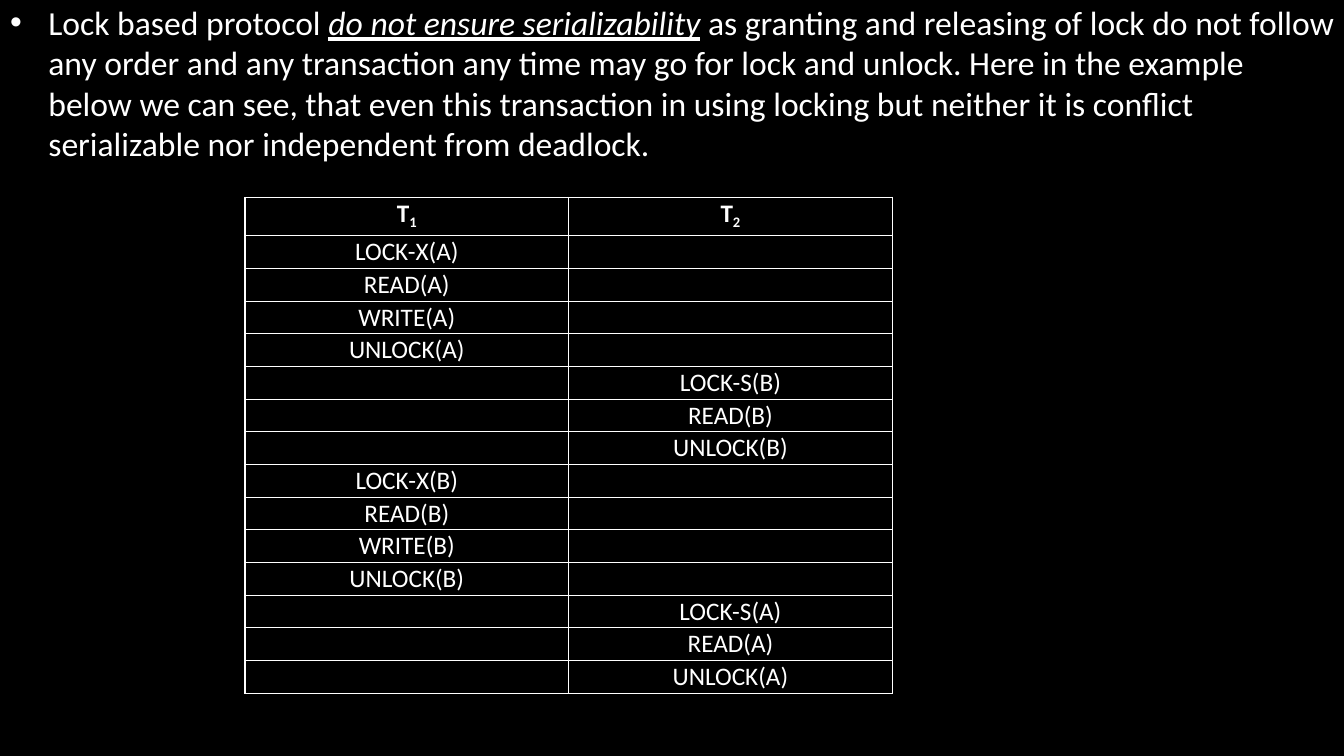
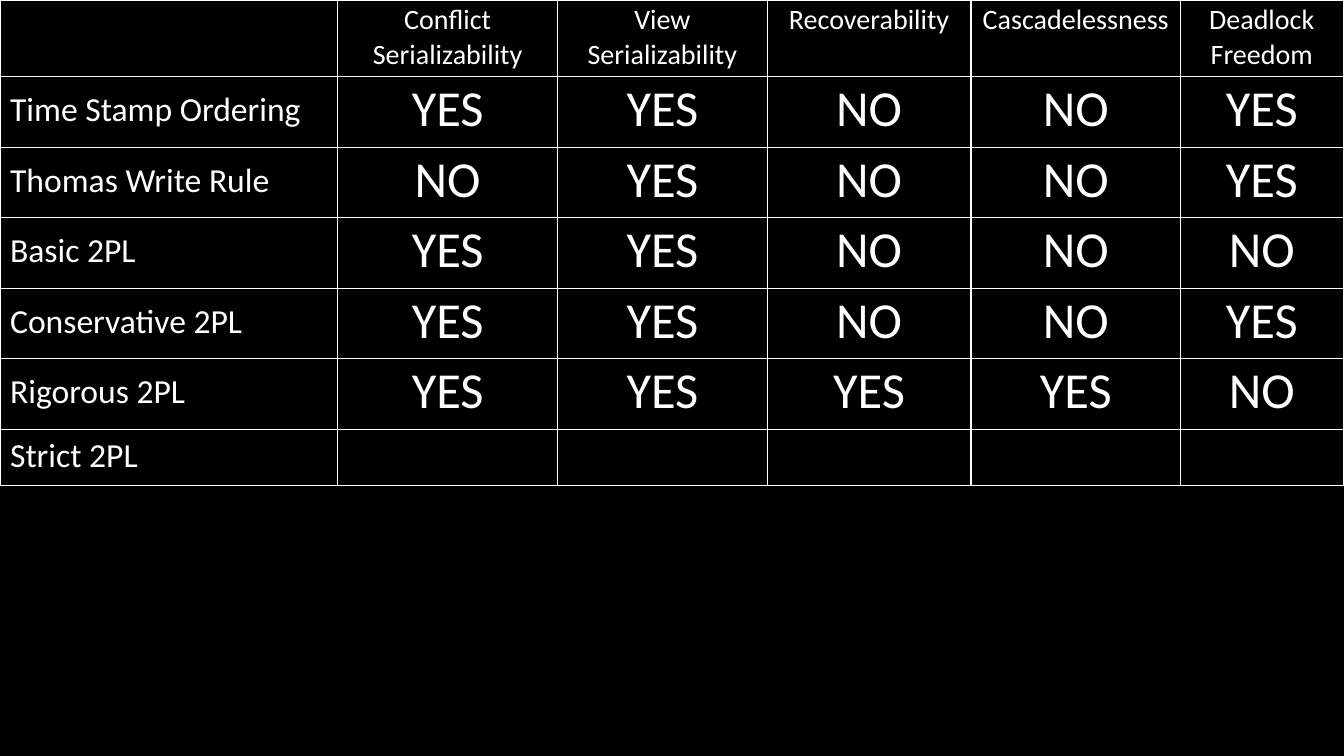
from pptx import Presentation
from pptx import util as u
from pptx.dml.color import RGBColor
from pptx.enum import text
from lxml import etree
from pptx.oxml.ns import qn

COLORS = {"back": "000000", "ink": "FFFFFF"}
FONT = "Calibri"
W, H = 13.33, 7.5

# Content: schedule of two transactions
INTRO = [
    ("Lock based protocol ", False),
    ("do not ensure serializability", True),
    (" as granting and releasing of lock do not follow any order and any "
     "transaction any time may go for lock and unlock. Here in the example", False),
    ("\n", False),
    ("below we can see, that even this transaction in using locking but neither "
     "it is conflict serializable nor independent from deadlock.", False),
]
TRANSACTIONS = ["1", "2"]
STEPS = [  # transaction column, item, operations in order
    (0, "A", ["LOCK-X", "READ", "WRITE", "UNLOCK"]),
    (1, "B", ["LOCK-S", "READ", "UNLOCK"]),
    (0, "B", ["LOCK-X", "READ", "WRITE", "UNLOCK"]),
    (1, "A", ["LOCK-S", "READ", "UNLOCK"]),
]

# Content: comparison of protocols
PROPERTIES = [["Conflict", "Serializability"], ["View", "Serializability"],
              ["Recoverability"], ["Cascadelessness"], ["Deadlock", "Freedom"]]
PROTOCOLS = [
    ("Time Stamp Ordering", "YES YES NO NO YES"),
    ("Thomas Write Rule", "NO YES NO NO YES"),
    ("Basic 2PL", "YES YES NO NO NO"),
    ("Conservative 2PL", "YES YES NO NO YES"),
    ("Rigorous 2PL", "YES YES YES YES NO"),
    ("Strict 2PL", ""),
]
PROPERTY_COLS = [3.35, 2.18, 2.08, 2.02, 2.08, 1.61]
PROPERTY_ROWS = [0.76] + [0.7] * 5 + [0.56]


def add_run(p, words, size, bold=False):
    r = p.add_run()
    r.text = words
    r.font.name, r.font.size, r.font.bold = FONT, u.Pt(size), bold
    r.font.color.rgb = RGBColor.from_string(COLORS["ink"])
    return r


def add_border(cell, side, width):
    ln = etree.SubElement(cell._tc.get_or_add_tcPr(), qn("a:ln" + side),
                          w=str(u.Pt(width)))
    fill = etree.SubElement(ln, qn("a:solidFill"))
    etree.SubElement(fill, qn("a:srgbClr"), val=COLORS["ink"])


def add_grid(slide, left, top, cols, rows, outer):
    """Unfilled table with 1 pt rules; outer maps edge sides to other widths."""
    table = slide.shapes.add_table(
        len(rows), len(cols), u.Inches(left), u.Inches(top),
        u.Inches(sum(cols)), u.Inches(sum(rows))).table
    table.first_row = table.horz_banding = False
    for column, width in zip(table.columns, cols):
        column.width = u.Inches(width)
    for i, height in enumerate(rows):
        table.rows[i].height = u.Inches(height)
        for j in range(len(cols)):
            cell = table.cell(i, j)
            cell.margin_left = cell.margin_right = 0
            cell.margin_top = cell.margin_bottom = 0
            edges = {"L": j == 0, "R": j == len(cols) - 1,
                     "T": i == 0, "B": i == len(rows) - 1}
            for side, on_edge in edges.items():
                add_border(cell, side, outer.get(side, 1) if on_edge else 1)
            cell.fill.background()
    return table


def write_cell(cell, lines, size, top, left=None, bold=False):
    """Centred lines, or left-aligned ones when a left margin is given."""
    cell.margin_top = u.Inches(top)
    cell.margin_left = u.Inches(left or 0)
    tf = cell.text_frame
    for n, line in enumerate(lines):
        p = tf.add_paragraph() if n else tf.paragraphs[0]
        p.alignment = text.PP_ALIGN.CENTER if left is None else text.PP_ALIGN.LEFT
        add_run(p, line, size, bold)


def add_intro(slide):
    box = slide.shapes.add_textbox(*map(u.Inches, (0.09, 0.01, 13.16, 1.63)))
    tf = box.text_frame
    tf.word_wrap = True
    tf.margin_left = tf.margin_right = tf.margin_bottom = 0
    tf.margin_top = u.Inches(0.01)
    p = tf.paragraphs[0]
    p.space_before = u.Pt(1)
    pPr = p._p.get_or_add_pPr()
    pPr.set("marL", str(u.Inches(0.39)))
    pPr.set("indent", str(u.Inches(-0.38)))
    bullet_color = etree.SubElement(pPr, qn("a:buClr"))
    etree.SubElement(bullet_color, qn("a:srgbClr"), val=COLORS["ink"])
    etree.SubElement(pPr, qn("a:buFont"), typeface="Arial")
    etree.SubElement(pPr, qn("a:buChar"), char="•")
    for words, stressed in INTRO:
        if words == "\n":
            p.add_line_break()
            continue
        r = add_run(p, words, 24)
        r.font.italic = r.font.underline = stressed


def schedule_slide(slide):
    add_intro(slide)
    steps = [(col, f"{op}({item})") for col, item, ops in STEPS for op in ops]
    head, total = 0.38, 4.92
    rows = [head] + [(total - head) / len(steps)] * len(steps)
    table = add_grid(slide, 2.43, 1.96, [3.21, 3.21], rows, {})
    for j, number in enumerate(TRANSACTIONS):
        cell = table.cell(0, j)
        write_cell(cell, ["T"], 18, 0.01, bold=True)
        sub = add_run(cell.text_frame.paragraphs[0], number, 18, bold=True)
        sub.font._element.set("baseline", "-21000")
    for i, (col, step) in enumerate(steps, 1):
        write_cell(table.cell(i, col), [step], 18, 0.01)


def comparison_slide(slide):
    table = add_grid(slide, 0, 0, PROPERTY_COLS, PROPERTY_ROWS,
                     {"L": 0.5, "T": 0.5, "R": 0.5})
    for j, lines in enumerate(PROPERTIES, 1):
        write_cell(table.cell(0, j), lines, 20, 0.03)
    for i, (protocol, answers) in enumerate(PROTOCOLS, 1):
        write_cell(table.cell(i, 0), [protocol], 24, 0.13 if answers else 0.06, 0.1)
        for j, answer in enumerate(answers.split(), 1):
            write_cell(table.cell(i, j), [answer], 36, 0.02)


def main():
    prs = Presentation()
    prs.slide_width, prs.slide_height = u.Inches(W), u.Inches(H)
    # Shared black background
    back = prs.slide_master.background.fill
    back.solid()
    back.fore_color.rgb = RGBColor.from_string(COLORS["back"])
    for build in (schedule_slide, comparison_slide):
        build(prs.slides.add_slide(prs.slide_layouts[6]))
    prs.save("out.pptx")


if __name__ == "__main__":
    main()
